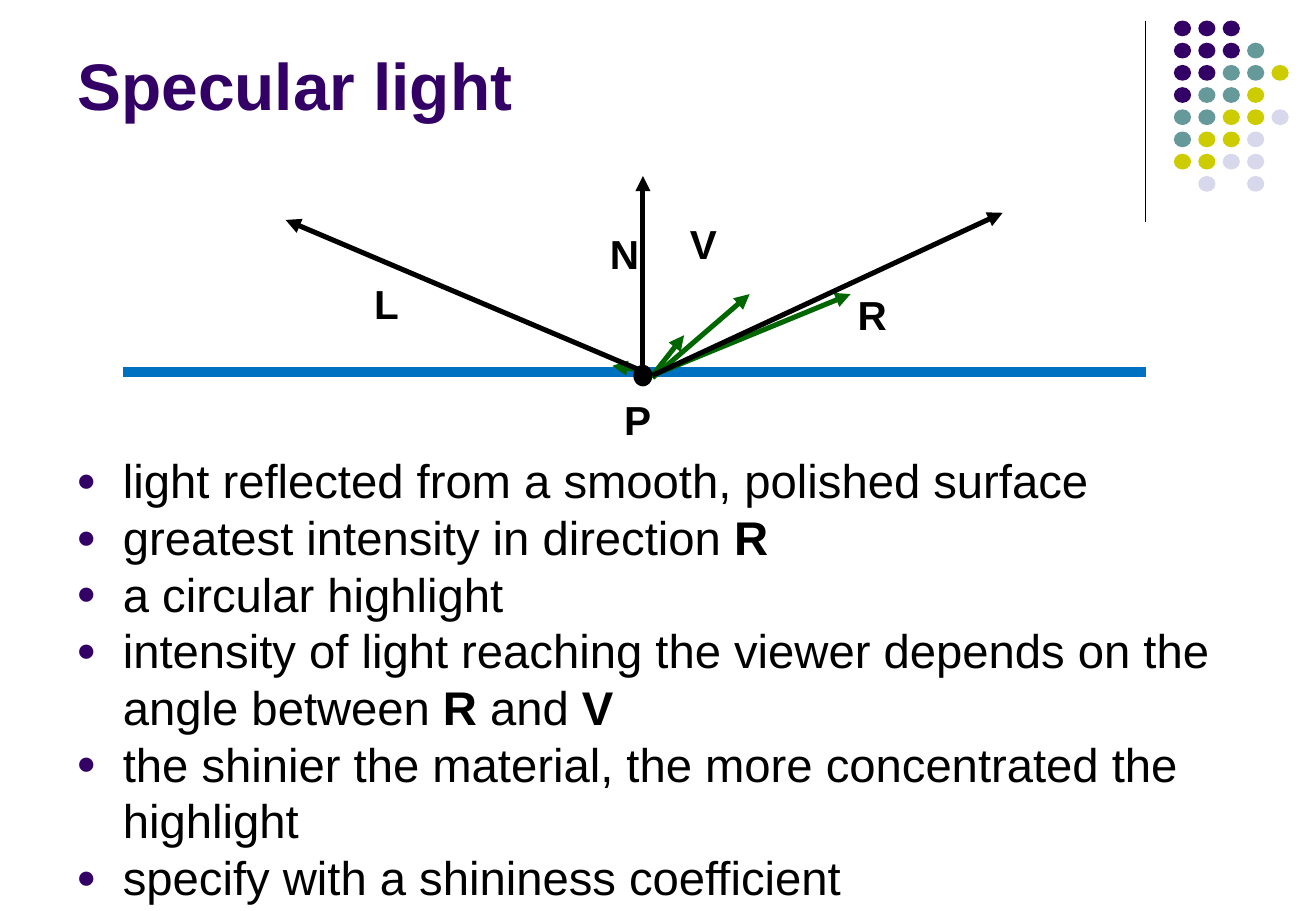
from lxml import etree
from pptx import Presentation
from pptx.dml.color import RGBColor
from pptx.enum.shapes import MSO_CONNECTOR, MSO_SHAPE
from pptx.enum.text import MSO_ANCHOR
from pptx.oxml.ns import qn
from pptx.util import Cm, Pt

LINE = MSO_CONNECTOR.STRAIGHT
OVAL = MSO_SHAPE.OVAL
TOP, BOTTOM = MSO_ANCHOR.TOP, MSO_ANCHOR.BOTTOM

BLACK = RGBColor(0x00, 0x00, 0x00)
PURPLE = RGBColor(0x33, 0x00, 0x66)
TEAL = RGBColor(0x66, 0x99, 0x99)
LIME = RGBColor(0xCC, 0xCC, 0x00)
PALE = RGBColor(0xD8, 0xD8, 0xEC)
BLUE = RGBColor(0x00, 0x70, 0xC0)
GREEN = RGBColor(0x00, 0x66, 0x00)

# Lengths are centimetres; text between asterisks is bold.
TITLE = "*Specular light*"
POINTS = [
    "light reflected from a smooth, polished surface",
    "greatest intensity in direction *R*",
    "a circular highlight",
    "intensity of light reaching the viewer depends on the angle between *R* and *V*",
    "the shinier the material, the more concentrated the highlight",
    "specify with a shininess coefficient",
]
DOTS = ["PPP", "PPPT", "PPTTL", "PTTL", "TTLLW", "TLLW", "LLWW", " W W"]
TINTS = {"P": PURPLE, "T": TEAL, "L": LIME, "W": PALE}
DOT_X, DOT_Y, STEP_X, STEP_Y = 24.54, 0.43, 0.51, 3.25 / 7

HIT = (13.64, 7.85)
ARROWS = [
    (HIT, (14.3, 7.01), GREEN),
    ((13.44, 7.85), (13.44, 3.68), BLACK),
    ((13.64, 7.9), (15.67, 6.15), GREEN),
    (HIT, (17.78, 6.15), GREEN),
    ((13.26, 7.72), (12.8, 7.65), GREEN),
    (HIT, (5.97, 4.6), BLACK),
    (HIT, (20.96, 4.45), BLACK),
]
LABELS = [
    ("*P*", 12.8, 8.13),
    ("*V*", 14.17, 4.45),
    ("*L*", 7.57, 5.72),
    ("*N*", 12.5, 4.67),
    ("*R*", 17.68, 5.94),
]

deck = Presentation()
deck.slide_width, deck.slide_height = Cm(27.51), Cm(19.05)
slide = deck.slides.add_slide(deck.slide_layouts[6])
shapes = slide.shapes


def add_bullet(para):
    props = para._p.get_or_add_pPr()
    props.set("marL", str(Cm(0.97)))
    props.set("indent", str(-Cm(0.97)))
    tint = etree.SubElement(props, qn("a:buClr"))
    etree.SubElement(tint, qn("a:srgbClr"), val=str(PURPLE))
    etree.SubElement(props, qn("a:buSzPct"), val="70000")
    etree.SubElement(props, qn("a:buFont"), typeface="Arial")
    etree.SubElement(props, qn("a:buChar"), char="●")


def add_text(lines, x, y, w, h, size, color=BLACK, anchor=TOP, bullet=False, pitch=None):
    frame = shapes.add_textbox(Cm(x), Cm(y), Cm(w), Cm(h)).text_frame
    frame.word_wrap = True
    frame.vertical_anchor = anchor
    for i, line in enumerate(lines):
        para = frame.add_paragraph() if i else frame.paragraphs[0]
        if bullet:
            add_bullet(para)
        if pitch:
            para.line_spacing = Pt(pitch)
        for j, part in enumerate(line.split("*")):
            if part:
                run = para.add_run()
                run.text = part
                font = run.font
                font.name, font.size, font.bold = "Arial", Pt(size), j % 2 == 1
                font.color.rgb = color


def add_line(start, end, color, width, arrow=False):
    line = shapes.add_connector(LINE, *map(Cm, start + end))
    line.line.color.rgb = color
    line.line.width = Pt(width)
    if arrow:
        etree.SubElement(line.line._get_or_add_ln(), qn("a:tailEnd"), type="triangle")
    etree.SubElement(line._element.spPr, qn("a:effectLst"))


def add_dot(x, y, w, h, color):
    dot = shapes.add_shape(OVAL, Cm(x), Cm(y), Cm(w), Cm(h))
    dot.shadow.inherit = False
    dot.fill.solid()
    dot.fill.fore_color.rgb = color
    dot.line.fill.background()


add_line((23.95, 0.43), (23.95, 4.65), BLACK, 0.75)
for row, marks in enumerate(DOTS):
    for col, mark in enumerate(marks):
        if mark in TINTS:
            add_dot(DOT_X + col * STEP_X, DOT_Y + row * STEP_Y, 0.36, 0.33, TINTS[mark])

add_text([TITLE], 1.37, 0.33, 22.71, 2.39, 39, color=PURPLE, anchor=BOTTOM)
add_text(POINTS, 1.35, 9.32, 25.58, 9.19, 28, bullet=True, pitch=33.6)

add_line((2.57, 7.77), (23.95, 7.77), BLUE, 6)
add_dot(13.24, 7.63, 0.4, 0.45, BLACK)
for start, end, color in ARROWS:
    add_line(start, end, color, 3, arrow=True)
for text, x, y in LABELS:
    add_text([text], x, y, 1.5, 1.27, 24)

deck.save("out.pptx")
